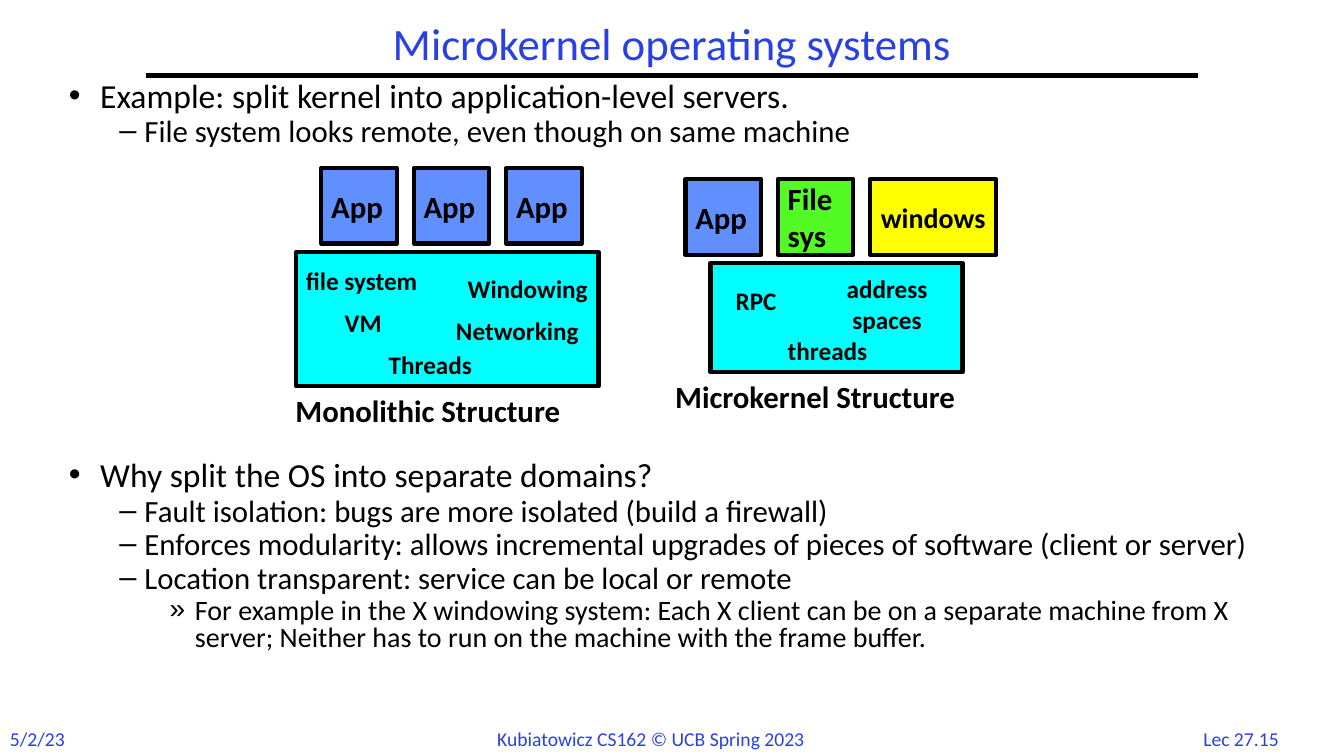
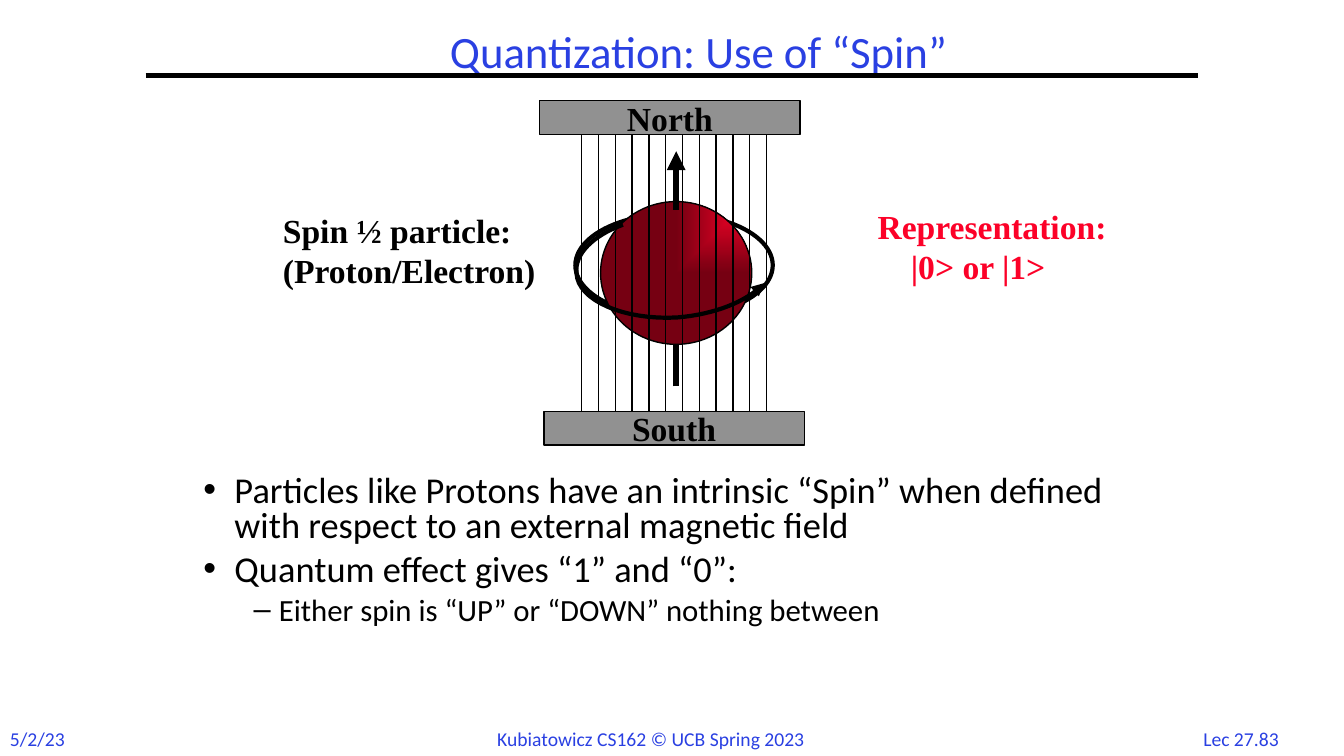
from dataclasses import dataclass
from typing import Optional

from lxml import etree
from pptx import Presentation
from pptx.dml.color import RGBColor
from pptx.enum.shapes import MSO_CONNECTOR, MSO_SHAPE
from pptx.enum.text import MSO_ANCHOR, MSO_AUTO_SIZE, PP_ALIGN
from pptx.oxml import parse_xml
from pptx.oxml.ns import nsdecls, qn
from pptx.util import Inches, Pt

RECTANGLE, OVAL = MSO_SHAPE.RECTANGLE, MSO_SHAPE.OVAL
LEFT, CENTER = PP_ALIGN.LEFT, PP_ALIGN.CENTER
TOP, MIDDLE = MSO_ANCHOR.TOP, MSO_ANCHOR.MIDDLE
STRAIGHT = MSO_CONNECTOR.STRAIGHT
FIXED_SIZE, FIT_TEXT = MSO_AUTO_SIZE.NONE, MSO_AUTO_SIZE.SHAPE_TO_FIT_TEXT
COLUMNS, ROWS = 160, 90  # square cells, twelve to the inch


@dataclass(frozen=True)
class Theme:
    sans: str = "Calibri"
    serif: str = "Times New Roman"
    blue: str = "2A40E2"
    black: str = "000000"
    red: str = "FC0128"
    dark_red: str = "760012"
    app: str = "618FFD"
    file_system: str = "53FB25"
    windows: str = "FFFF00"
    kernel: str = "00FFFF"
    magnet: str = "919191"
    title_size: int = 32
    footer_size: int = 14
    caption_size: int = 22
    windows_size: int = 20
    service_size: int = 18
    physics_size: int = 24


THEME = Theme()


@dataclass(frozen=True)
class Area:
    """A rectangle in grid cells."""
    column: float
    row: float
    columns: float
    rows: float


@dataclass(frozen=True)
class TextStyle:
    size: float
    color: str = THEME.black
    font: str = THEME.sans
    bold: bool = True
    align: PP_ALIGN = LEFT


@dataclass(frozen=True)
class Label:
    text: str
    area: Area
    style: TextStyle


@dataclass(frozen=True)
class Box:
    area: Area
    fill: str
    text: str = ""
    style: Optional[TextStyle] = None
    line_width: float = 3


@dataclass(frozen=True)
class Bullet:
    text: str
    size: int
    level: int = 0
    space_before: Optional[float] = None


@dataclass(frozen=True)
class BulletLevel:
    mark: str
    margin: float
    hanging: float


LEVELS = (BulletLevel("•", 0.31, 0.31), BulletLevel("–", 0.75, 0.25),
          BulletLevel("»", 1.25, 0.25))
TITLE = TextStyle(THEME.title_size, THEME.blue, bold=False, align=CENTER)
FOOTER = TextStyle(THEME.footer_size, THEME.blue, bold=False)
PAGE_NUMBER = TextStyle(THEME.footer_size, THEME.blue, bold=False, align=CENTER)
CAPTION = TextStyle(THEME.caption_size)
WINDOWS = TextStyle(THEME.windows_size, align=CENTER)
SERVICE = TextStyle(THEME.service_size)
SERVICE_CENTERED = TextStyle(THEME.service_size, align=CENTER)
PHYSICS = TextStyle(THEME.physics_size, font=THEME.serif)
POLE = TextStyle(THEME.physics_size, font=THEME.serif, align=CENTER)
STATE = TextStyle(THEME.physics_size, THEME.red, THEME.serif)


def cells(count: float) -> int:
    return Inches(count / 12)


def place(area: Area) -> tuple[int, int, int, int]:
    return (cells(area.column), cells(area.row),
            cells(area.columns), cells(area.rows))


def format_paragraph(paragraph, style: TextStyle) -> None:
    paragraph.alignment = style.align
    for run in paragraph.runs:
        run.font.name = style.font
        run.font.size = Pt(style.size)
        run.font.bold = style.bold
        run.font.color.rgb = RGBColor.from_string(style.color)


def write(text_frame, text: str, style: TextStyle) -> None:
    text_frame.text = text
    for paragraph in text_frame.paragraphs:
        format_paragraph(paragraph, style)


def set_indent(paragraph, margin: float, hanging: float = 0):
    properties = paragraph._p.get_or_add_pPr()
    properties.set("marL", str(Inches(margin)))
    properties.set("indent", str(-Inches(hanging)))
    return properties


def draw_label(slide, label: Label):
    text_box = slide.shapes.add_textbox(*place(label.area))
    text_box.text_frame.word_wrap = False
    text_box.text_frame.auto_size = FIT_TEXT
    write(text_box.text_frame, label.text, label.style)
    return text_box


def set_line(shape, width: float) -> None:
    shape.line.color.rgb = RGBColor.from_string(THEME.black)
    shape.line.width = Pt(width)


def outline(shape, width: float) -> None:
    shape.shadow.inherit = False
    set_line(shape, width)


def draw_box(slide, box: Box) -> None:
    shape = slide.shapes.add_shape(RECTANGLE, *place(box.area))
    outline(shape, box.line_width)
    shape.fill.solid()
    shape.fill.fore_color.rgb = RGBColor.from_string(box.fill)
    if box.style:
        shape.text_frame.word_wrap = False
        shape.text_frame.vertical_anchor = MIDDLE
        write(shape.text_frame, box.text, box.style)


def add_arrowhead(shape) -> None:
    line = shape._element.spPr.find(qn("a:ln"))
    etree.SubElement(line, qn("a:tailEnd"), type="triangle")


def draw_line(slide, start: tuple[float, float], end: tuple[float, float],
              width: float, arrow: bool = False) -> None:
    connector = slide.shapes.add_connector(STRAIGHT, *map(cells, start + end))
    set_line(connector, width)
    if arrow:
        add_arrowhead(connector)
    etree.SubElement(connector._element.spPr, qn("a:effectLst"))


def fill_body(body, bullets: list[Bullet], spacing: float) -> None:
    """Write bullets; spacing is the gap before each, as a share of its size."""
    text_frame = body.text_frame
    text_frame.word_wrap = True
    text_frame.auto_size = FIXED_SIZE
    text_frame.vertical_anchor = TOP
    for index, bullet in enumerate(bullets):
        paragraph = text_frame.add_paragraph() if index else text_frame.paragraphs[0]
        paragraph.text = bullet.text
        paragraph.level = bullet.level
        level = LEVELS[bullet.level]
        properties = set_indent(paragraph, level.margin, level.hanging)
        etree.SubElement(properties, qn("a:buChar"), char=level.mark)
        paragraph.line_spacing = 0.8
        gap = bullet.space_before or bullet.size * spacing
        paragraph.space_before = Pt(gap if index else 0)
        paragraph.space_after = Pt(0)
        format_paragraph(paragraph, TextStyle(bullet.size, bold=False))


def add_lecture_slide(presentation, title: str, title_area: Area, body_area: Area,
                      bullets: list[Bullet], spacing: float, number: str):
    slide = presentation.slides.add_slide(presentation.slide_layouts[1])
    for label in (
        Label(number, Area(141.25, 85.9, 13, 4), PAGE_NUMBER),
        Label("5/2/23", Area(0, 85.9, 9, 4), FOOTER),
        Label("Kubiatowicz CS162 © UCB Spring 2023", Area(58, 85.9, 44.1, 4), FOOTER),
    ):
        draw_label(slide, label)
    draw_line(slide, (17.33, 9), (142.67, 9), 3)

    heading, body = slide.shapes.title, slide.placeholders[1]
    for placeholder, area in ((heading, title_area), (body, body_area)):
        (placeholder.left, placeholder.top,
         placeholder.width, placeholder.height) = place(area)
    heading.text_frame.auto_size = FIXED_SIZE
    heading.text_frame.vertical_anchor = MIDDLE
    write(heading.text_frame, title, TITLE)
    heading.text_frame.paragraphs[0].line_spacing = 0.9
    fill_body(body, bullets, spacing)
    return slide


def build_microkernel_slide(presentation) -> None:
    bullets = [
        Bullet("Example: split kernel into application-level servers.", 24),
        Bullet("File system looks remote, even though on same machine", 22, 1),
        Bullet("Why split the OS into separate domains?", 24, space_before=224),
        Bullet("Fault isolation: bugs are more isolated (build a firewall)", 22, 1),
        Bullet("Enforces modularity: allows incremental upgrades of pieces of "
               "software (client or server)", 22, 1),
        Bullet("Location transparent: service can be local or remote", 22, 1),
        Bullet("For example in the X windowing system: Each X client can be on a "
               "separate machine from X server; Neither has to run on the machine "
               "with the frame buffer.", 20, 2),
    ]
    slide = add_lecture_slide(
        presentation, "Microkernel operating systems", Area(17.33, 2, 125.33, 7),
        Area(7, 9.25, 146, 80.75), bullets, 0.13, "Lec 27.15")

    side, step = 9, 11
    apps = [Box(Area(38.25 + step * index, 20, side, side), THEME.app, "App", CAPTION)
            for index in range(3)]
    servers = [
        Box(Area(81.6, 21.33, side, side), THEME.app, "App", CAPTION),
        Box(Area(81.6 + step, 21.33, side, side), THEME.file_system,
            "File\nsys", CAPTION),
        Box(Area(81.6 + 2 * step, 21.33, 15, side), THEME.windows, "windows", WINDOWS),
    ]
    kernels = [Box(Area(35.25, 30, 36, 16), THEME.kernel),
               Box(Area(84.6, 31.33, 30, 13), THEME.kernel)]
    for box in apps + servers + kernels:
        draw_box(slide, box)

    for label in (
        Label("file system", Area(35.25, 31, 16.3, 4.8), SERVICE),
        Label("Windowing", Area(54.5, 32, 17.6, 4.8), SERVICE),
        Label("Networking", Area(53.1, 37, 18.8, 4.8), SERVICE),
        Label("VM", Area(39.85, 36, 7, 4.8), SERVICE),
        Label("Threads", Area(45.1, 41, 13.2, 4.8), SERVICE),
        Label("Monolithic Structure", Area(34, 46, 36, 5.6), CAPTION),
        Label("RPC", Area(86.4, 33.33, 8.3, 4.8), SERVICE),
        Label("address\nspaces", Area(99.4, 32, 12.4, 8.4), SERVICE_CENTERED),
        Label("threads", Area(92.6, 39.33, 12.2, 4.8), SERVICE),
        Label("Microkernel Structure", Area(79.2, 44.33, 38.4, 5.6), CAPTION),
    ):
        draw_label(slide, label)


def draw_particle(slide) -> None:
    sphere = slide.shapes.add_shape(OVAL, *place(Area(71.5, 24, 18, 17)))
    sphere._element.spPr.append(parse_xml(
        f'<a:gradFill {nsdecls("a")} rotWithShape="1"><a:gsLst>'
        f'<a:gs pos="0"><a:srgbClr val="{THEME.red}"/></a:gs>'
        f'<a:gs pos="100000"><a:srgbClr val="{THEME.dark_red}"/></a:gs></a:gsLst>'
        '<a:path path="rect"><a:fillToRect l="100000" b="100000"/></a:path>'
        '</a:gradFill>'))
    outline(sphere, 1)


def bezier_points(points: list[tuple[float, float]], steps: int = 16):
    """Points along a chain of cubic curves, each starting where the last ends."""
    for first in range(0, len(points) - 1, 3):
        for step in range(1, steps + 1):
            t = step / steps
            weights = ((1 - t) ** 3, 3 * t * (1 - t) ** 2, 3 * t * t * (1 - t), t ** 3)
            yield tuple(
                cells(sum(weight * point[axis] for weight, point
                          in zip(weights, points[first:first + 4])))
                for axis in (0, 1))


def draw_spin_arrow(slide) -> None:
    curve = [(74.16, 26.76), (70.56, 28.08), (68.4, 30.24), (68.64, 32.52),
             (68.76, 35.76), (74.28, 38.16), (80.64, 37.8),
             (85.08, 37.44), (89.04, 35.88), (90.96, 33.72)]
    builder = slide.shapes.build_freeform(*map(cells, curve[0]))
    builder.add_line_segments(list(bezier_points(curve)), close=False)
    arrow = builder.convert_to_shape()
    arrow.fill.background()
    outline(arrow, 3)
    add_arrowhead(arrow)


def build_spin_slide(presentation) -> None:
    bullets = [
        Bullet("Particles like Protons have an intrinsic “Spin” when defined with "
               "respect to an external magnetic field", 26),
        Bullet("Quantum effect gives “1” and “0”:", 26),
        Bullet("Either spin is “UP” or “DOWN” nothing between", 22, 1),
    ]
    slide = add_lecture_slide(
        presentation, "Quantization: Use of “Spin”", Area(27.33, 4, 111.7, 4.75),
        Area(23, 56, 112.7, 26), bullets, 0.26, "Lec 27.83")
    orbit = slide.shapes.add_shape(OVAL, *place(Area(68.5, 25.45, 23.5, 12.25)))
    orbit.fill.background()
    outline(orbit, 3)
    draw_particle(slide)
    draw_spin_arrow(slide)
    draw_line(slide, (80.5, 25), (80.5, 18), 4.5, arrow=True)
    draw_line(slide, (80.5, 46), (80.5, 41), 4.5)
    for name, column, row in (("North", 64.25, 12), ("South", 64.75, 49)):
        draw_box(slide, Box(Area(column, row, 31, 4), THEME.magnet, name, POLE, 1))
    for column in range(12):
        draw_line(slide, (69.25 + 2 * column, 49), (69.25 + 2 * column, 16), 1)
    draw_label(slide, Label("Spin ½ particle:\n(Proton/Electron)",
                            Area(32.5, 24.4, 32.75, 10.9), PHYSICS))
    states = draw_label(slide, Label("Representation:\n|0> or |1>",
                                     Area(103.3, 23.9, 30, 10.9), STATE))
    set_indent(states.text_frame.paragraphs[1], 0.33)


def main() -> None:
    presentation = Presentation()
    presentation.slide_width, presentation.slide_height = cells(COLUMNS), cells(ROWS)
    build_microkernel_slide(presentation)
    build_spin_slide(presentation)
    presentation.save("out.pptx")


if __name__ == "__main__":
    main()
